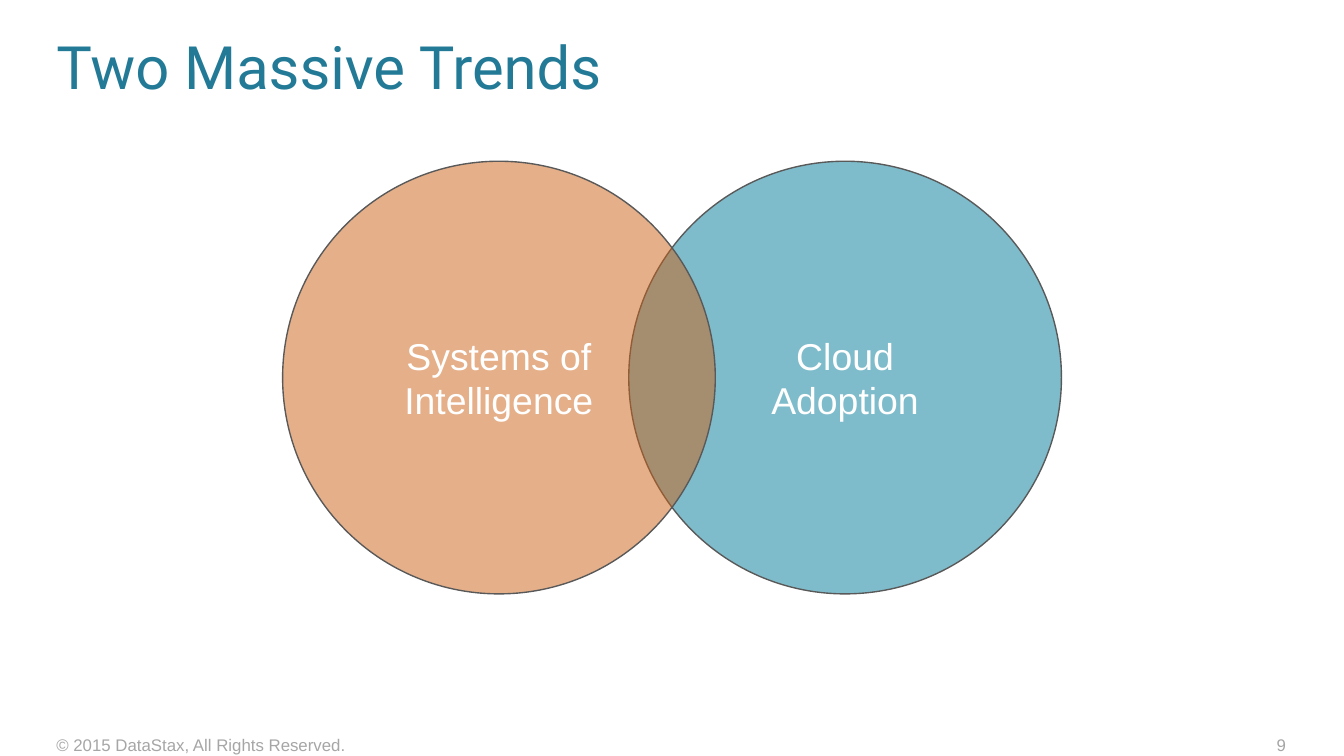
from lxml.etree import SubElement
from pptx import Presentation
from pptx.dml.color import RGBColor
from pptx.enum.shapes import MSO_SHAPE
from pptx.enum.text import MSO_ANCHOR, PP_ALIGN
from pptx.oxml.ns import qn
from pptx.util import Pt


def paint(target, color):
    """Give a fill or line format a solid hex colour."""
    target.solid()
    target.fore_color.rgb = RGBColor.from_string(color)


def write(frame, text, size=9, font="Arial", color="A6A6A6", align=PP_ALIGN.LEFT):
    """Write formatted text into a frame, one paragraph per line."""
    frame.word_wrap = True
    frame.text = text
    for para in frame.paragraphs:
        para.alignment = align
        para.font.size = Pt(size)
        para.font.name = font
        paint(para.font.fill, color)


def label(slide, box, text, right=7.2, **style):
    """Add a text box with tight margins."""
    frame = slide.shapes.add_textbox(*map(Pt, box)).text_frame
    frame.margin_left = frame.margin_top = frame.margin_bottom = 0
    frame.margin_right = Pt(right)
    write(frame, text, **style)


def circle(shapes, left, top, size, color, text):
    """Add a half-transparent circle with centred text."""
    disc = shapes.add_shape(MSO_SHAPE.OVAL, Pt(left), Pt(top), Pt(size), Pt(size))
    disc.shadow.inherit = False
    paint(disc.fill, color)
    tint = disc.fill._xPr.find(qn("a:solidFill"))[0]
    SubElement(tint, qn("a:alpha"), val="50000")
    paint(disc.line.fill, "595959")
    disc.line.width = Pt(0.75)
    disc.text_frame.vertical_anchor = MSO_ANCHOR.MIDDLE
    write(disc.text_frame, text, size=20, color="FFFFFF", align=PP_ALIGN.CENTER)


def main():
    """Build and save the slide."""
    deck = Presentation()
    deck.slide_width, deck.slide_height = Pt(720), Pt(405)
    slide = deck.slides.add_slide(deck.slide_layouts[6])

    label(slide, (30.2, 15.8, 594, 41), "Two Massive Trends",
          size=32, font="Roboto", color="237A97")
    label(slide, (30.2, 393.8, 276, 21.6), "© 2015 DataStax, All Rights Reserved.")
    label(slide, (532.8, 393.8, 156.2, 21.6), "9", right=0, align=PP_ALIGN.RIGHT)

    size, left, top = 231.8, 151.4, 86.4
    venn = slide.shapes.add_group_shape().shapes
    circle(venn, left + 0.8 * size, top, size, "007B98", "Cloud\nAdoption")
    circle(venn, left, top, size, "CB6015", "Systems of Intelligence")

    deck.save("out.pptx")


if __name__ == "__main__":
    main()
